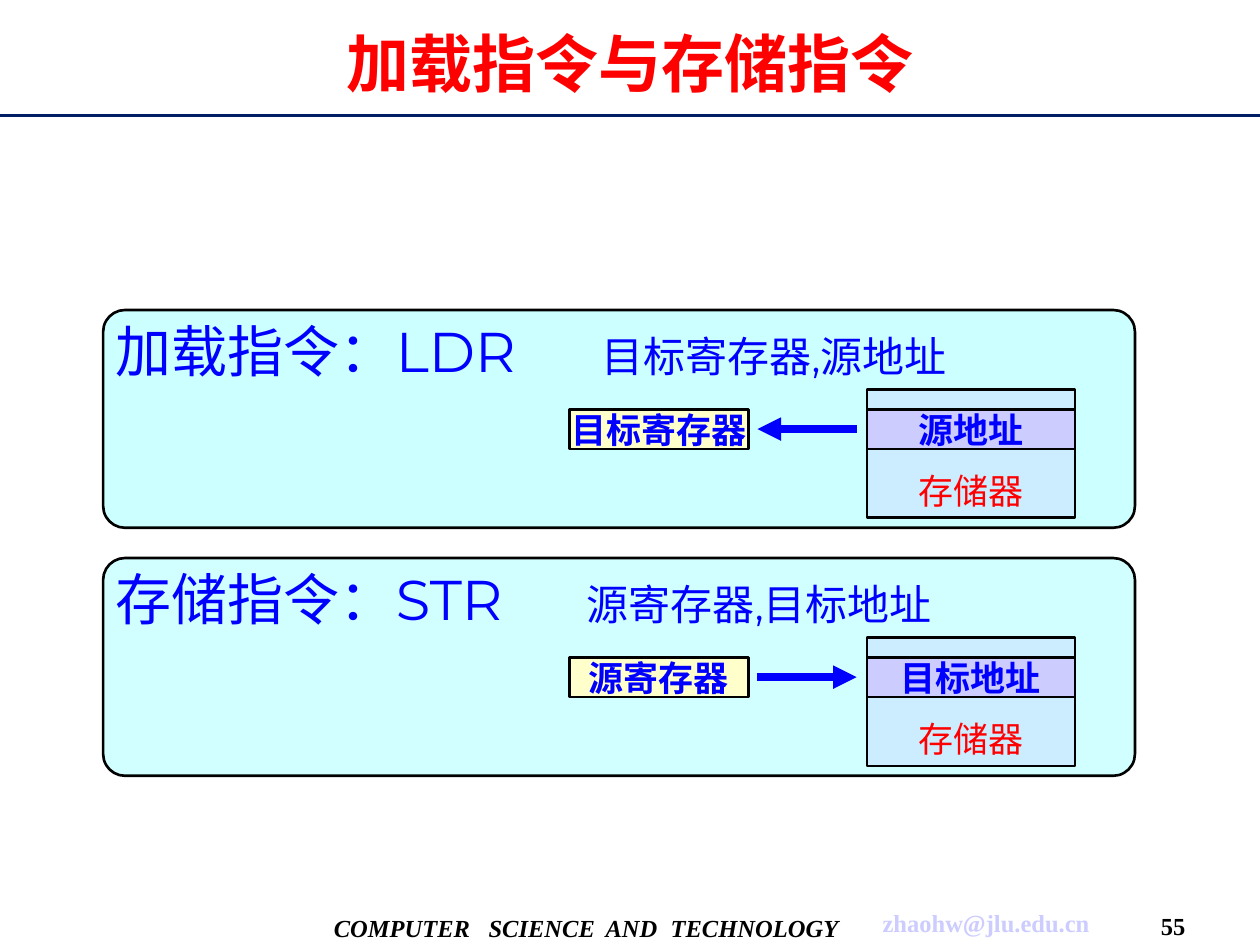
from lxml import etree
from pptx import Presentation
from pptx.dml.color import RGBColor
from pptx.enum.shapes import MSO_CONNECTOR, MSO_SHAPE
from pptx.enum.text import MSO_ANCHOR, MSO_AUTO_SIZE, PP_ALIGN
from pptx.oxml.ns import qn
from pptx.util import Cm, Pt

LINE = MSO_CONNECTOR.STRAIGHT
RECT, ROUND = MSO_SHAPE.RECTANGLE, MSO_SHAPE.ROUNDED_RECTANGLE
TOP, MID, LOW = MSO_ANCHOR.TOP, MSO_ANCHOR.MIDDLE, MSO_ANCHOR.BOTTOM
LEFT, CENTER = PP_ALIGN.LEFT, PP_ALIGN.CENTER
BLACK = RGBColor(0x00, 0x00, 0x00)
BLUE = RGBColor(0x00, 0x00, 0xFF)
RED = RGBColor(0xFF, 0x00, 0x00)
NAVY = RGBColor(0x00, 0x1E, 0x64)
CYAN = RGBColor(0xCC, 0xFF, 0xFF)
SKY = RGBColor(0xCC, 0xEC, 0xFF)
LILAC = RGBColor(0xCC, 0xCC, 0xFF)
CREAM = RGBColor(0xFF, 0xFF, 0xCC)
SERIF, SANS = "Times New Roman", "Montserrat"

TITLE = "加载指令与存储指令"
PANELS = [
    {"name": "加载指令：", "code": "LDR", "args": "目标寄存器,源地址", "tab": 9.8,
     "reg": "目标寄存器", "cell": "源地址", "load": True, "alpha": 100},
    {"name": "存储指令：", "code": "STR", "args": "源寄存器,目标地址", "tab": 9.5,
     "reg": "源寄存器", "cell": "目标地址", "load": False, "alpha": 90},
]
MEMORY = "存储器"
FOOTER = [
    ("COMPUTER\tSCIENCE\tAND\tTECHNOLOGY", (6.48, 18.16, 11, 1.07),
     {"italic": True, "align": LEFT, "tabs": (3.12, 5.48, 6.79)}),
    ("zhaohw@jlu.edu.cn", (17.58, 18.14, 4.6, 0.91), {"color": LILAC}),
    ("55", (23.09, 18.26, 1.12, 0.79), {}),
]
FIRST, STEP = 6.25, 5


def write(shape, text, size=20, color=BLUE, font=SERIF, bold=False,
          italic=False, align=CENTER, anchor=MID, wrap=False, tabs=()):
    frame = shape.text_frame
    frame.auto_size = MSO_AUTO_SIZE.NONE
    frame.word_wrap, frame.vertical_anchor = wrap, anchor
    para = frame.paragraphs[0]
    para.alignment = align
    if tabs:
        stops = etree.SubElement(para._p.get_or_add_pPr(), qn("a:tabLst"))
        for stop in tabs:
            etree.SubElement(stops, qn("a:tab"), pos=str(Cm(stop)), algn="l")
    runs = [(text, size, font)] if isinstance(text, str) else text
    for words, points, face in runs:
        run = para.add_run()
        run.text = words
        run.font.size, run.font.name = Pt(points), face
        run.font.bold, run.font.italic = bold, italic
        run.font.color.rgb = color


def text_box(slide, box):
    return slide.shapes.add_textbox(*map(Cm, box))


def block(slide, box, fill, kind=RECT, alpha=100):
    shape = slide.shapes.add_shape(kind, *map(Cm, box))
    shape.shadow.inherit = False
    shape.fill.solid()
    shape.fill.fore_color.rgb = fill
    shape.line.color.rgb, shape.line.width = BLACK, Pt(1.5)
    if alpha < 100:
        tint = shape.fill._xPr.find(".//" + qn("a:srgbClr"))
        etree.SubElement(tint, qn("a:alpha"), val=str(alpha * 1000))
    return shape


def rule(slide, ends, color, width, arrow=False):
    line = slide.shapes.add_connector(LINE, *map(Cm, ends))
    line.line.color.rgb, line.line.width = color, Pt(width)
    if arrow:
        etree.SubElement(line.line._get_or_add_ln(), qn("a:tailEnd"), type="triangle")
    etree.SubElement(line._element.spPr, qn("a:effectLst"))


def panel(slide, data, top):
    card = block(slide, (2.08, top, 20.8, 4.39), CYAN, ROUND, data["alpha"])
    card.adjustments[0] = 0.1
    head = [(data["name"], 32, SERIF), (data["code"] + "\t", 32, SANS),
            (data["args"], 24, SANS)]
    write(text_box(slide, (2.08, top, 19.79, 1.63)), head, align=LEFT,
          anchor=TOP, wrap=True, tabs=[data["tab"]])
    write(block(slide, (17.48, top + 1.6, 4.19, 2.59), SKY), MEMORY,
          color=RED, anchor=LOW)
    write(block(slide, (17.48, top + 2, 4.19, 0.8), LILAC), data["cell"], bold=True)
    write(block(slide, (11.48, top + 2, 3.61, 0.8), CREAM), data["reg"], bold=True)
    start, end = (17.27, 15.27) if data["load"] else (15.27, 17.27)
    rule(slide, (start, top + 2.4, end, top + 2.4), BLUE, 4.5, arrow=True)


def main():
    deck = Presentation()
    deck.slide_width, deck.slide_height = Cm(25.4), Cm(19.05)
    slide = deck.slides.add_slide(deck.slide_layouts[5])
    title = slide.shapes.title
    title.left, title.top, title.width, title.height = map(Cm, (0.81, 0.2, 23.8, 2.11))
    write(title, TITLE, size=36, color=RED, bold=True, wrap=True)
    rule(slide, (0, 2.32, 25.4, 2.32), NAVY, 1.75)
    for text, box, style in FOOTER:
        write(text_box(slide, box), text,
              **{"size": 14, "color": BLACK, "bold": True, **style})
    for i, data in enumerate(PANELS):
        panel(slide, data, FIRST + i * STEP)
    deck.save("out.pptx")


if __name__ == "__main__":
    main()
